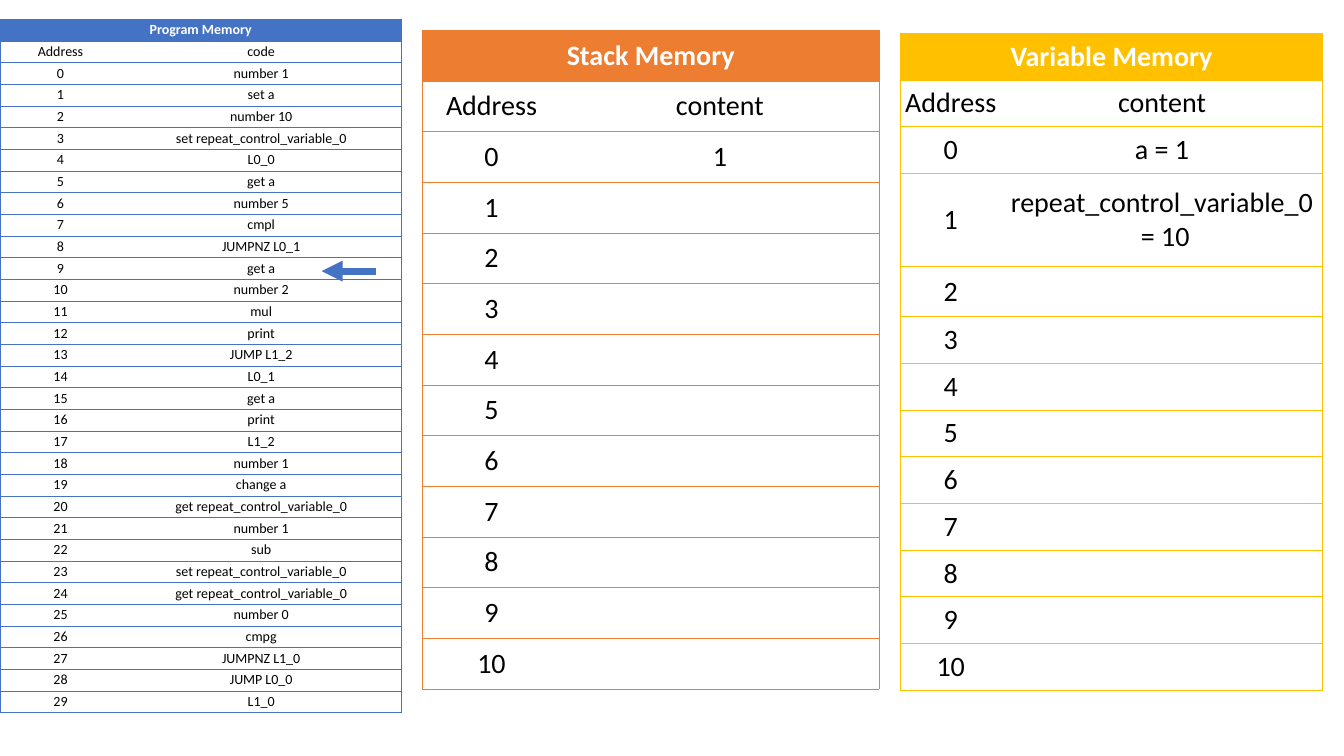
import pptx
import pptx.util
import pptx.dml.color
import pptx.enum.shapes
import pptx.enum.text
import pptx.oxml
import pptx.oxml.ns
from pptx.util import Inches

COLORS = {
    "program": "4472C4",
    "stack": "ED7D31",
    "variable": "FFC000",
    "header_text": "FFFFFF",
    "text": "000000",
}
NO_STYLE = "{2D5ABB26-0587-4C30-8999-92F81FD0307C}"
NS = pptx.oxml.ns.nsdecls("a")

PROGRAM = [
    "number 1", "set a", "number 10", "set repeat_control_variable_0", "L0_0",
    "get a", "number 5", "cmpl", "JUMPNZ L0_1", "get a",
    "number 2", "mul", "print", "JUMP L1_2", "L0_1",
    "get a", "print", "L1_2", "number 1", "change a",
    "get repeat_control_variable_0", "number 1", "sub",
    "set repeat_control_variable_0", "get repeat_control_variable_0",
    "number 0", "cmpg", "JUMPNZ L1_0", "JUMP L0_0", "L1_0",
]
STACK = ["1"] + [""] * 10
VARIABLES = ["a = 1", "repeat_control_variable_0\n = 10"] + [""] * 9


def rgb(name):
    return pptx.dml.color.RGBColor.from_string(COLORS[name])


def add_borders(cell, sides, color):
    for side in sides:
        cell._tc.get_or_add_tcPr().append(pptx.oxml.parse_xml(
            f'<a:ln{side} {NS} w="6350"><a:solidFill>'
            f'<a:srgbClr val="{COLORS[color]}"/></a:solidFill></a:ln{side}>'))


def format_cell(cell, text, size, color, bold=False):
    cell.margin_left = cell.margin_right = cell.margin_top = cell.margin_bottom = 0
    cell.vertical_anchor = pptx.enum.text.MSO_ANCHOR.MIDDLE
    cell.text_frame.text = text
    for p in cell.text_frame.paragraphs:
        p.alignment = pptx.enum.text.PP_ALIGN.CENTER
        for font in [p.font] + [r.font for r in p.runs]:
            font.name = "Calibri"
            font.size = pptx.util.Pt(size)
            font.bold = bold
            font.color.rgb = rgb(color)


def add_memory(s, box, title, heading, contents, color, size, address_w, taller=None):
    """Titled memory table; taller maps a row to its extra height in inches."""
    x, y, w, h = box
    taller = taller or {}
    rows = [("Address", heading)] + [(str(i), c) for i, c in enumerate(contents)]
    lines = [1] + [c.count("\n") + 1 for _, c in rows]
    line_h = (h - sum(taller.values())) / sum(lines)

    table = s.shapes.add_table(len(lines), 2, *map(Inches, box)).table
    table._tbl.tblPr.find(pptx.oxml.ns.qn("a:tableStyleId")).text = NO_STYLE
    table.first_row = table.horz_banding = False
    table.columns[0].width = Inches(address_w)
    table.columns[1].width = Inches(w - address_w)
    for i, count in enumerate(lines):
        table.rows[i].height = Inches(line_h * count + taller.get(i, 0))

    # Title row
    header = table.cell(0, 0)
    header.merge(table.cell(0, 1))
    format_cell(header, title, size, "header_text", bold=True)
    add_borders(header, "LRTB", color)
    header.fill.solid()
    header.fill.fore_color.rgb = rgb(color)

    # Addresses and contents
    for i, row in enumerate(rows, start=1):
        for j, (text, sides) in enumerate(zip(row, ("LTB", "RTB"))):
            cell = table.cell(i, j)
            format_cell(cell, text, size, "text")
            add_borders(cell, sides, color)
            cell.fill.background()


def add_pointer(s, x, y, length):
    """Arrow pointing left at the current instruction."""
    arrow = s.shapes.add_connector(
        pptx.enum.shapes.MSO_CONNECTOR.STRAIGHT,
        Inches(x + length), Inches(y), Inches(x), Inches(y))
    arrow.line.color.rgb = rgb("program")
    arrow.line.width = pptx.util.Pt(5)
    arrow.line._get_or_add_ln().append(
        pptx.oxml.parse_xml(f'<a:tailEnd {NS} type="triangle"/>'))
    arrow._element.spPr.append(pptx.oxml.parse_xml(f"<a:effectLst {NS}/>"))


def main():
    prs = pptx.Presentation()
    prs.slide_width, prs.slide_height = Inches(13.33), Inches(7.5)
    s = prs.slides.add_slide(prs.slide_layouts[6])
    add_memory(s, (0, 0.19, 3.98, 6.89), "Program Memory", "code",
               PROGRAM, "program", 10, 1.2)
    add_memory(s, (4.19, 0.3, 4.53, 6.54), "Stack Memory", "content",
               STACK, "stack", 20, 1.37)
    add_memory(s, (8.93, 0.33, 4.19, 6.52), "Variable Memory", "content",
               VARIABLES, "variable", 20, 1, taller={4: 0.03})
    add_pointer(s, 3.19, 2.69, 0.54)
    prs.save("out.pptx")


if __name__ == "__main__":
    main()
